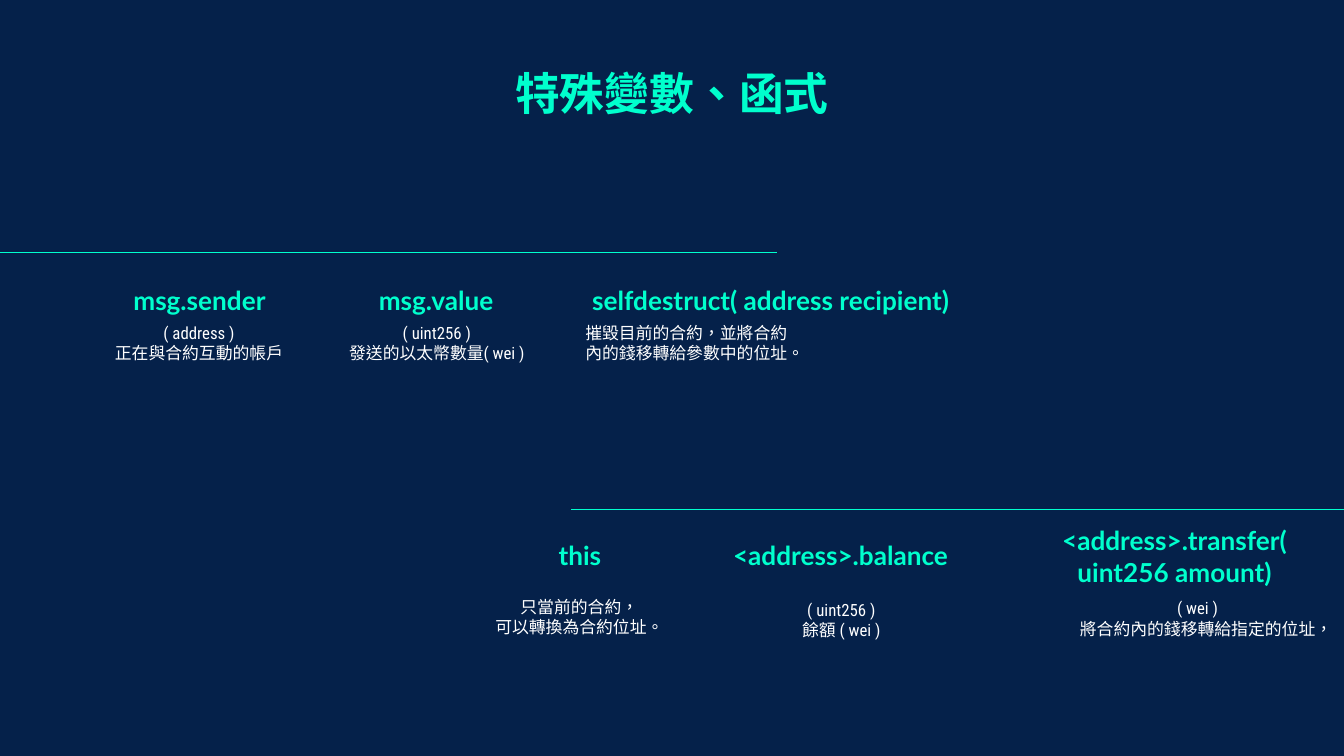
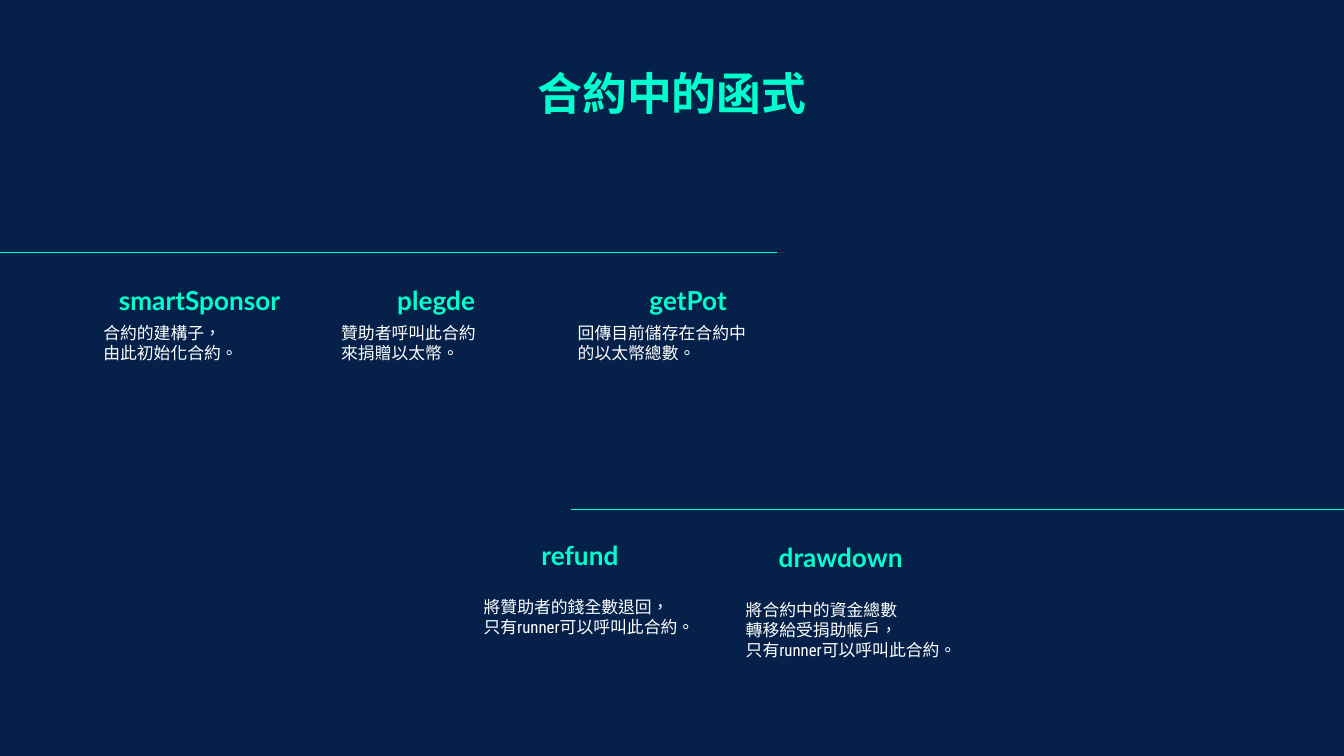
from dataclasses import dataclass

import pptx
import pptx.dml.color
import pptx.enum.lang
import pptx.enum.shapes
import pptx.enum.text
import pptx.oxml.ns
import pptx.util
from lxml import etree

Inches = pptx.util.Inches
Pt = pptx.util.Pt
RGB = pptx.dml.color.RGBColor.from_string
ALIGN = pptx.enum.text.PP_ALIGN
ANCHOR = pptx.enum.text.MSO_ANCHOR


@dataclass(frozen=True)
class Style:
    size: int
    font: str
    color: str
    bold: bool = False


@dataclass(frozen=True)
class Theme:
    background: str = "05214A"
    accent: str = "00FFCD"
    rule_width: float = 0.75
    title: Style = Style(24, "Lato", "00FFCD", True)
    heading: Style = Style(14, "Lato", "00FFCD", True)
    body: Style = Style(9, "Roboto Condensed", "FFFFFF")


@dataclass(frozen=True)
class Entry:
    """A heading with its explanation; lengths are inches, drop lowers the part."""
    row: str
    left: float
    heading: str
    lines: tuple
    heading_width: float = 1.95
    body_width: float = 1.62
    body_shift: float = 0.16
    heading_drop: float = 0
    body_drop: float = 0


THEME = Theme()
LANGUAGE = pptx.enum.lang.MSO_LANGUAGE_ID.TRADITIONAL_CHINESE
ROWS = {  # heading top, body top
    "upper": (1.98, 2.3),
    "lower": (3.88, 4.34),
}
RULES = [(5.78, -0.05, 1.88), (10.04, 4.25, 3.79)]  # from x, to x, y
TITLE_BOX = (2.15, 0.39, 5.7, 1.03)
HEADING_HEIGHT = 0.47
BODY_HEIGHT = 1.1

SLIDES = [
    ("特殊變數、函式", ALIGN.CENTER, [
        Entry("upper", 0.51, "msg.sender", ("( address )", "正在與合約互動的帳戶")),
        Entry("upper", 2.27, "msg.value", ("( uint256 )", "發送的以太幣數量( wei )"),
              body_shift=0.17),
        Entry("upper", 4.04, "selfdestruct( address recipient)",
              ("摧毀目前的合約，並將合約內的錢移轉給參數中的位址。",),
              heading_width=3.39, body_width=1.81),
        Entry("lower", 3.34, "this", ("只當前的合約，", "可以轉換為合約位址。")),
        Entry("lower", 5.28, "<address>.balance", ("( uint256 )", "餘額 ( wei )"),
              body_shift=0.17, body_drop=0.02),
        Entry("lower", 7.73, "<address>.transfer( uint256 amount)",
              ("( wei )", "將合約內的錢移轉給指定的位址，"),
              heading_width=2.02, body_width=2.02, body_shift=0.17,
              heading_drop=0.12, body_drop=0.01),
    ]),
    ("合約中的函式", ALIGN.LEFT, [
        Entry("upper", 0.51, "smartSponsor", ("合約的建構子，", "由此初始化合約。")),
        Entry("upper", 2.27, "plegde", ("贊助者呼叫此合約", "來捐贈以太幣。"),
              body_shift=0.17),
        Entry("upper", 4.08, "getPot", ("回傳目前儲存在合約中", "的以太幣總數。"),
              heading_width=2.08, body_width=1.81, body_shift=0.12),
        Entry("lower", 3.34, "refund",
              ("將贊助者的錢全數退回，", "只有runner可以呼叫此合約。"), body_width=1.68),
        Entry("lower", 5.28, "drawdown",
              ("將合約中的資金總數", "轉移給受捐助帳戶，", "只有runner可以呼叫此合約。"),
              body_width=1.78, body_shift=0.17, heading_drop=0.01, body_drop=0.02),
    ]),
]


def add_text(slide, box, lines, style, align=ALIGN.CENTER, anchor=ANCHOR.TOP):
    tf = slide.shapes.add_textbox(*map(Inches, box)).text_frame
    tf.word_wrap = True
    tf.vertical_anchor = anchor
    tf.margin_left = tf.margin_right = tf.margin_top = tf.margin_bottom = Inches(0.1)
    tf.text = "\n".join(lines)
    for p in tf.paragraphs:
        p.alignment = align
        p.font.size = Pt(style.size)
        p.font.name = style.font
        p.font.bold = style.bold
        p.font.color.rgb = RGB(style.color)
        for r in p.runs:
            r.font.language_id = LANGUAGE


def add_rule(slide, start, end, y):
    line = slide.shapes.add_connector(
        pptx.enum.shapes.MSO_CONNECTOR.STRAIGHT,
        Inches(start), Inches(y), Inches(end), Inches(y))
    line.line.color.rgb = RGB(THEME.accent)
    line.line.width = Pt(THEME.rule_width)
    etree.SubElement(line._element.spPr, pptx.oxml.ns.qn("a:effectLst"))


def add_entry(slide, entry, align):
    heading_top, body_top = ROWS[entry.row]
    add_text(slide, (entry.left, heading_top + entry.heading_drop,
                     entry.heading_width, HEADING_HEIGHT),
             [entry.heading], THEME.heading, anchor=ANCHOR.BOTTOM)
    add_text(slide, (entry.left + entry.body_shift, body_top + entry.body_drop,
                     entry.body_width, BODY_HEIGHT),
             entry.lines, THEME.body, align)


def main():
    prs = pptx.Presentation()
    prs.slide_width = Inches(10)
    prs.slide_height = prs.slide_width * 9 // 16
    for title, body_align, entries in SLIDES:
        slide = prs.slides.add_slide(prs.slide_layouts[6])
        fill = slide.background.fill
        fill.solid()
        fill.fore_color.rgb = RGB(THEME.background)
        add_text(slide, TITLE_BOX, [title], THEME.title)
        for entry in entries:
            add_entry(slide, entry, body_align)
        for rule in RULES:
            add_rule(slide, *rule)
    prs.save("out.pptx")


if __name__ == "__main__":
    main()
